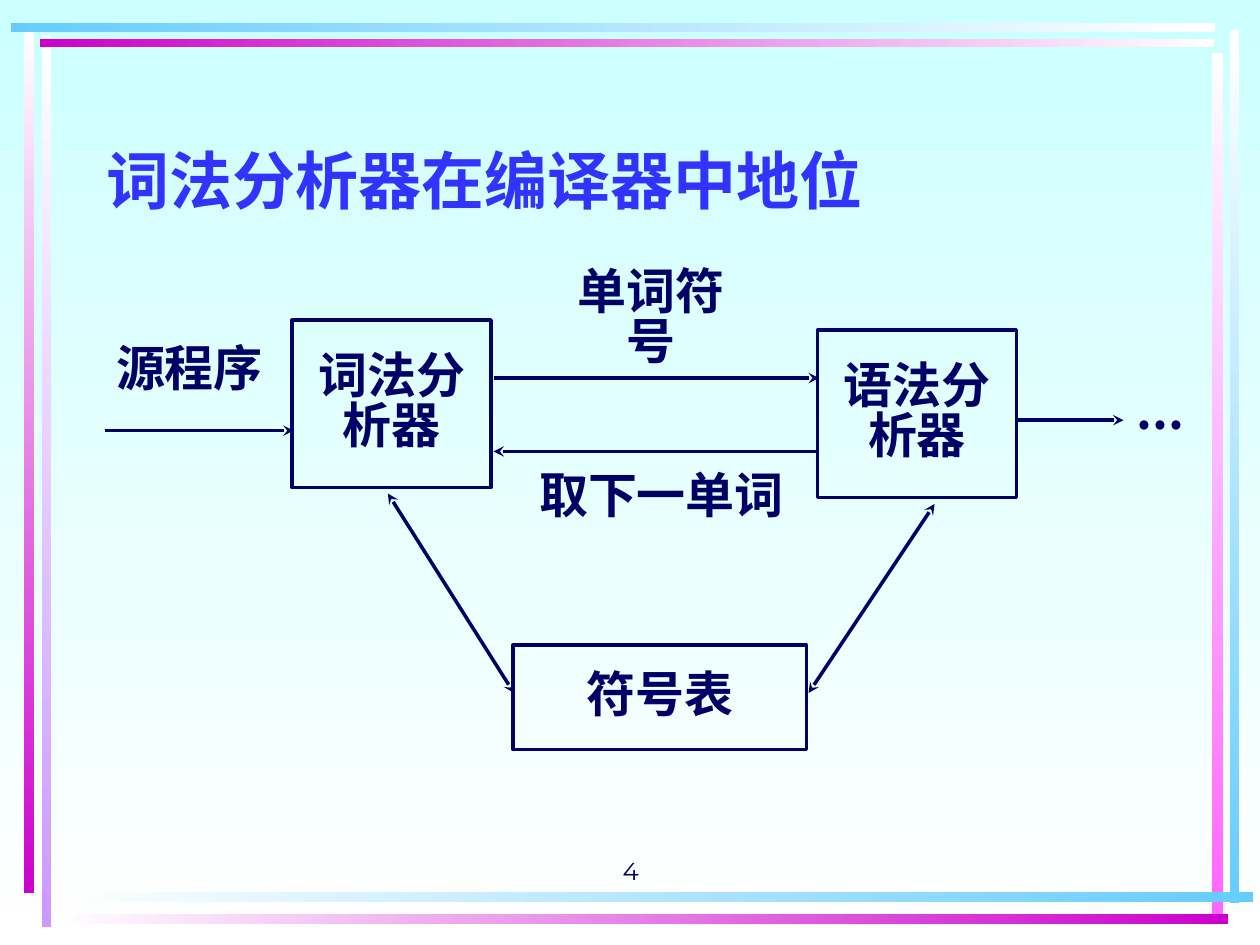
from lxml import etree
from pptx import Presentation
from pptx import util as u
from pptx.dml.color import RGBColor
from pptx.enum import shapes, text
from pptx.oxml.ns import qn

NAVY = RGBColor(0x00, 0x00, 0x66)
TITLE_BLUE = RGBColor(0x33, 0x33, 0xFF)
WHITE = RGBColor(0xFF, 0xFF, 0xFF)
PALE_CYAN = RGBColor(0xCC, 0xFF, 0xFF)
SKY = RGBColor(0x66, 0xCC, 0xFF)
PURPLE = RGBColor(0xCC, 0x00, 0xCC)
LILAC = RGBColor(0xCC, 0x99, 0xFF)
PINK = RGBColor(0xFF, 0x66, 0xFF)
CJK = "Noto Sans CJK SC"
DOWN, RIGHT = 270, 0


def set_gradient(fill, start, end, angle):
    fill.gradient()
    fill.gradient_angle = angle
    for stop, color, pos in zip(fill.gradient_stops, (start, end), (0, 1)):
        stop.color.rgb = color
        stop.position = pos


def set_text(sp, content, size=28, font=CJK, color=NAVY, bold=True, wrap=False,
             align=text.PP_ALIGN.CENTER, anchor=text.MSO_ANCHOR.MIDDLE):
    """Write one paragraph per line of content, with the same font for CJK text."""
    tf = sp.text_frame
    tf.word_wrap = wrap
    tf.vertical_anchor = anchor
    for i, line in enumerate(content.split("\n")):
        p = tf.paragraphs[0] if i == 0 else tf.add_paragraph()
        p.alignment = align
        p.line_spacing = 0.85
        r = p.add_run()
        r.text = line
        r.font.size = u.Pt(size)
        r.font.name = font
        r.font.bold = bold
        r.font.color.rgb = color
        etree.SubElement(r.font._element, qn("a:ea"), typeface=CJK)


prs = Presentation()
prs.slide_width, prs.slide_height = u.Cm(25.4), u.Cm(19.05)
s = prs.slides.add_slide(prs.slide_layouts[6])
set_gradient(s.background.fill, PALE_CYAN, WHITE, DOWN)

# Frame bars: left, right, bottom, top
frame_bars = [
    (0.84, 0.71, 0.2, 17.98, WHITE, LILAC, DOWN),
    (0.48, 0.64, 0.2, 17.37, WHITE, PURPLE, DOWN),
    (24.79, 0.61, 0.18, 17.6, WHITE, SKY, DOWN),
    (24.43, 1.07, 0.23, 17.35, WHITE, PINK, DOWN),
    (1.14, 17.98, 24.13, 0.2, WHITE, SKY, RIGHT),
    (1.14, 18.42, 23.62, 0.2, WHITE, PURPLE, RIGHT),
    (0.81, 0.79, 23.67, 0.15, PURPLE, WHITE, RIGHT),
    (0.22, 0.47, 24.28, 0.18, SKY, WHITE, RIGHT),
]
for *place, start, end, angle in frame_bars:
    sp = s.shapes.add_shape(shapes.MSO_SHAPE.RECTANGLE, *map(u.Cm, place))
    sp.shadow.inherit = False
    sp.line.fill.background()
    set_gradient(sp.fill, start, end, angle)

page_number = s.shapes.add_textbox(*map(u.Cm, (8.69, 16.71, 8.05, 1.27)))
set_text(page_number, "4", size=14, font="Montserrat", bold=False, wrap=True,
         anchor=text.MSO_ANCHOR.BOTTOM)

boxes = [
    ("词法分\n析器", 5.89, 6.45, 4.01, 3.38),
    ("语法分\n析器", 16.48, 6.65, 4.01, 3.38),
    ("符号表", 10.34, 13, 5.92, 2.11),
]
for content, *place in boxes:
    sp = s.shapes.add_shape(shapes.MSO_SHAPE.RECTANGLE, *map(u.Cm, place))
    sp.shadow.inherit = False
    sp.fill.background()
    sp.line.color.rgb = NAVY
    sp.line.width = u.Pt(2)
    set_text(sp, content)

labels = [
    ("源程序", 1.7, 6.55, 4.24),
    ("单词符号", 11, 5.5, 4.24),
    ("取下一单词", 10.16, 9.1, 6.35),
    ("...", 22.23, 7.41, 2.33),
]
for content, left, top, width in labels:
    set_text(s.shapes.add_textbox(*map(u.Cm, (left, top, width, 1.9))), content)

# Each arrow: from x, y, to x, y, and the ends that carry a head
arrows = [
    (2.11, 8.68, 5.92, 8.68, ["tailEnd"]),
    (9.95, 7.62, 16.51, 7.62, ["tailEnd"]),
    (16.51, 9.1, 9.95, 9.1, ["tailEnd"]),
    (7.82, 9.95, 10.36, 13.97, ["headEnd", "tailEnd"]),
    (18.84, 10.16, 16.3, 13.97, ["headEnd", "tailEnd"]),
    (20.53, 8.47, 22.65, 8.47, ["tailEnd"]),
]
for *ends, heads in arrows:
    cn = s.shapes.add_connector(shapes.MSO_CONNECTOR.STRAIGHT, *map(u.Cm, ends))
    cn.line.color.rgb = NAVY
    cn.line.width = u.Pt(2)
    ln = cn.line._get_or_add_ln()
    for head in heads:
        etree.SubElement(ln, qn(f"a:{head}"), type="stealth")
    etree.SubElement(cn._element.spPr, qn("a:effectLst"))

title = s.shapes.add_textbox(*map(u.Cm, (1.9, 1.75, 21.59, 2.75)))
set_text(title, "词法分析器在编译器中地位", size=36, font="Roboto", color=TITLE_BLUE,
         wrap=True, align=text.PP_ALIGN.LEFT, anchor=text.MSO_ANCHOR.BOTTOM)

prs.save("out.pptx")
